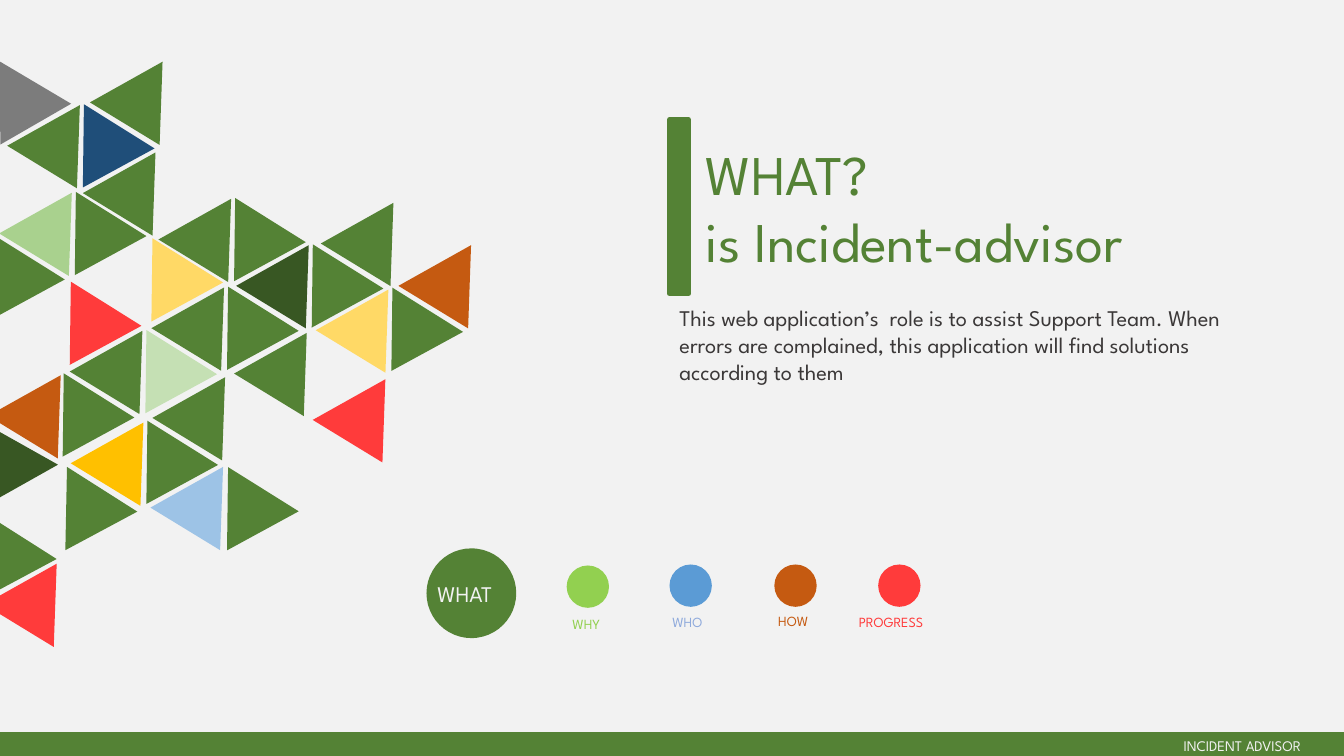
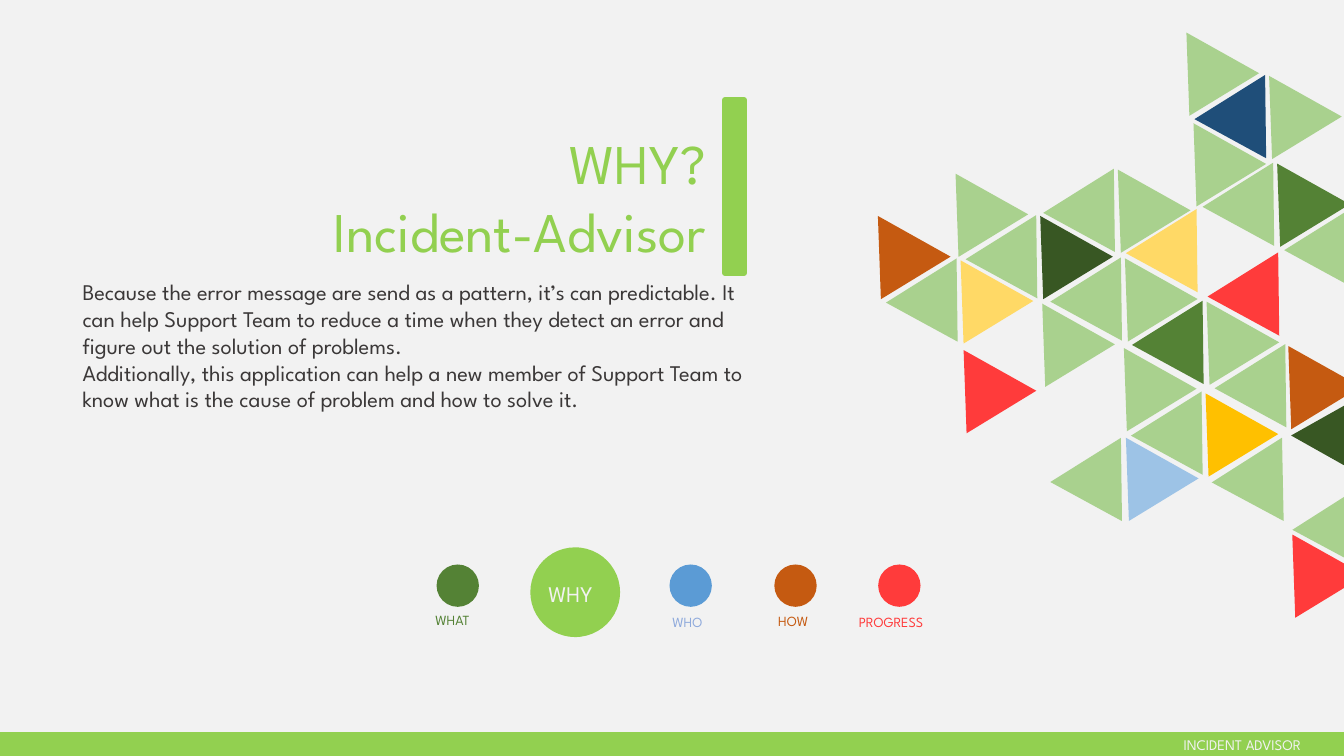
"""Build the WHAT and WHY slides of the Incident Advisor presentation."""
from pptx import Presentation
from pptx.dml.color import RGBColor
from pptx.enum.shapes import MSO_SHAPE as SHAPE
from pptx.enum.text import MSO_AUTO_SIZE as FIT, PP_ALIGN as ALIGN
from pptx.util import Inches, Pt

FONT = "League Spartan"
PAPER, INK = "F2F2F2", "3B3838"
GREEN, LIME, SAGE, MINT = "548235", "92D050", "A9D18E", "C5E0B4"
FOREST, NAVY, SKY, GREY = "385723", "1F4E79", "9DC3E6", "7C7C7C"
YELLOW, GOLD, RUST, RED = "FFD966", "FFC000", "C55A11", "FF3B3B"
BLUE, PERIWINKLE = "5B9BD5", "8FAADC"

LEFT, RIGHT = 31.4, 331.4
TILE_W, TILE_H = 0.81, 0.72
MIRROR_X, MIRROR_RISE = 12.57, 0.29
BIG_DOT, SMALL_DOT = 0.89, 0.42

BASE_TILES = [
    (0.43, 4.59, 331.8), (-0.37, 5.06, 331.8),
    (1.64, 3.69, LEFT), (2.45, 3.25, LEFT), (1.7, 1.92, LEFT),
    (0.95, 1.46, LEFT), (0.2, 0.99, LEFT), (1.63, 2.8, LEFT),
    (0.82, 3.23, LEFT), (3.31, 1.96, LEFT), (1.02, 0.56, LEFT),
    (1.23, 4.13, RIGHT), (3.66, 2.81, RIGHT), (2.87, 2.38, RIGHT),
    (2.1, 1.92, RIGHT), (2.03, 2.8, RIGHT), (0.52, 1.86, RIGHT),
    (-0.29, 2.29, RIGHT), (0.4, 3.66, RIGHT), (2.03, 4.59, RIGHT),
]
ACCENT_TILES = [
    (FOREST, [(-0.19, 4.25, 90), (2.47, 2.38, LEFT)]),
    (GOLD, [(0.83, 4.14, LEFT)]),
    (YELLOW, [(3.26, 2.82, LEFT), (1.28, 2.32, RIGHT)]),
    (NAVY, [(0.6, 0.99, RIGHT)]),
    (RED, [(0.47, 2.75, RIGHT), (3.23, 3.71, LEFT), (-0.03, 5.54, LEFT)]),
    (RUST, [(0.01, 3.67, LEFT), (4.08, 2.38, LEFT)]),
    (SKY, [(1.62, 4.58, LEFT)]),
]
SAGE_TILE, MINT_TILE = (0.12, 1.86, LEFT), (1.22, 3.23, RIGHT)
CORNER_TILE = (-0.23, 0.56, 330)

STAGES = [
    ("WHAT", GREEN, GREEN, (4.33, 5.6), (4.22, 6.02, 0.63)),
    ("WHY", LIME, LIME, (5.62, 5.61), (5.58, 6.06, 0.53)),
    ("WHO", BLUE, PERIWINKLE, (6.64, 5.6), (6.57, 6.04, 0.55)),
    ("HOW", RUST, RUST, (7.68, 5.6), (7.62, 6.03, 0.55)),
    ("PROGRESS", RED, RED, (8.71, 5.6), (8.42, 6.04, 1)),
]

PAGES = [
    dict(
        stage="WHAT", theme=GREEN, mirrored=False,
        title=["WHAT?", "is Incident-advisor"],
        title_box=(6.9, 1.33, 5.22, 1.45), align=ALIGN.LEFT,
        bar=(6.64, 1.19), body_box=(6.64, 2.97, 6.05, 0.91),
        body=["This web application’s  role is to assist Support Team. When errors are "
              "complained, this application will find solutions according to them"],
        big_dot=(4.23, 5.44), big_label=(4.24, 5.71, 0.86), footer_top=7.26,
        tiles=[(GREEN, BASE_TILES), (SAGE, [SAGE_TILE]), (MINT, [MINT_TILE]),
               (GREY, [CORNER_TILE])],
    ),
    dict(
        stage="WHY", theme=LIME, mirrored=True,
        title=["WHY?", "Incident-Advisor"],
        title_box=(2.4, 1.23, 4.7, 1.45), align=ALIGN.RIGHT,
        bar=(7.19, 0.99), body_box=(0.72, 2.71, 6.89, 1.72),
        body=["Because the error message are send as a pattern, it’s can predictable. "
              "It can help Support Team to reduce a time when they detect an error and "
              "figure out the solution of problems.",
              "Additionally, this application can help a new member of Support Team to "
              "know what is the cause of problem and how to solve it."],
        big_dot=(5.26, 5.43), big_label=(5.34, 5.71, 0.72), footer_top=7.25,
        tiles=[(SAGE, BASE_TILES), (GREEN, [SAGE_TILE, MINT_TILE])],
    ),
]


def add_figure(slide, kind, box, color, rotation=0, outline=0):
    figure = slide.shapes.add_shape(kind, *map(Inches, box))
    figure.shadow.inherit = False
    figure.rotation = rotation
    figure.fill.solid()
    figure.fill.fore_color.rgb = RGBColor.from_string(color)
    if outline:
        figure.line.color.rgb = RGBColor.from_string(color)
        figure.line.width = Pt(outline)
    else:
        figure.line.fill.background()


def add_text(slide, box, lines, size, color, align=ALIGN.LEFT, wrap=False):
    frame = slide.shapes.add_textbox(*map(Inches, box)).text_frame
    frame.word_wrap = wrap
    frame.auto_size = FIT.SHAPE_TO_FIT_TEXT
    for number, line in enumerate(lines):
        paragraph = frame.add_paragraph() if number else frame.paragraphs[0]
        paragraph.alignment = align
        run = paragraph.add_run()
        run.text = line
        run.font.name = FONT
        run.font.size = Pt(size)
        run.font.color.rgb = RGBColor.from_string(color)


deck = Presentation()
deck.slide_width, deck.slide_height = Inches(13.33), Inches(7.5)

for page in PAGES:
    slide = deck.slides.add_slide(deck.slide_layouts[6])
    slide.background.fill.solid()
    slide.background.fill.fore_color.rgb = RGBColor.from_string(PAPER)
    theme = page["theme"]

    add_text(slide, page["title_box"], page["title"], 40, theme, page["align"])
    add_text(slide, page["body_box"], page["body"], 16, INK, wrap=True)
    add_figure(slide, SHAPE.RECTANGLE, (*page["bar"], 0.19, 1.72), theme, outline=4)

    for stage, dot_color, label_color, dot, label in STAGES:
        if stage == page["stage"]:
            add_figure(slide, SHAPE.OVAL, (*page["big_dot"], BIG_DOT, BIG_DOT), dot_color)
            add_text(slide, (*page["big_label"], 0.37), [stage], 16, PAPER)
        else:
            add_figure(slide, SHAPE.OVAL, (*dot, SMALL_DOT, SMALL_DOT), dot_color)
            add_text(slide, (*label, 0.27), [stage], 10, label_color)

    add_figure(slide, SHAPE.RECTANGLE, (0, 7.29, 13.33, 0.18), theme, outline=4)
    add_text(slide, (11.64, page["footer_top"], 1.77, 0.29), ["INCIDENT ADVISOR"],
             10.5, PAPER, wrap=True)

    for color, tiles in page["tiles"] + ACCENT_TILES:
        for x, y, angle in tiles:
            if page["mirrored"]:
                x, y, angle = MIRROR_X - x, y - MIRROR_RISE, 360 - angle
            add_figure(slide, SHAPE.ISOSCELES_TRIANGLE, (x, y, TILE_W, TILE_H), color, angle)

deck.save("out.pptx")
